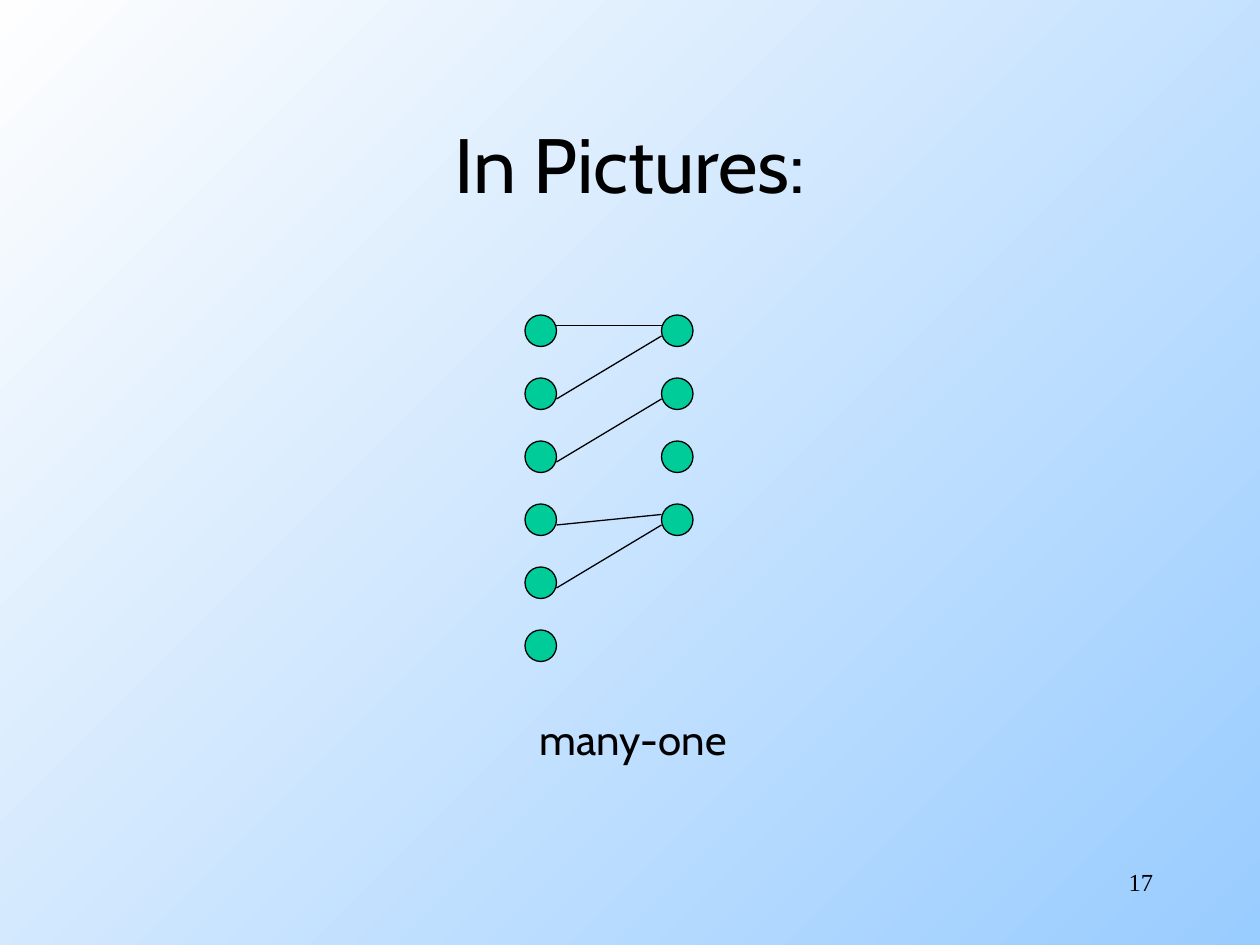
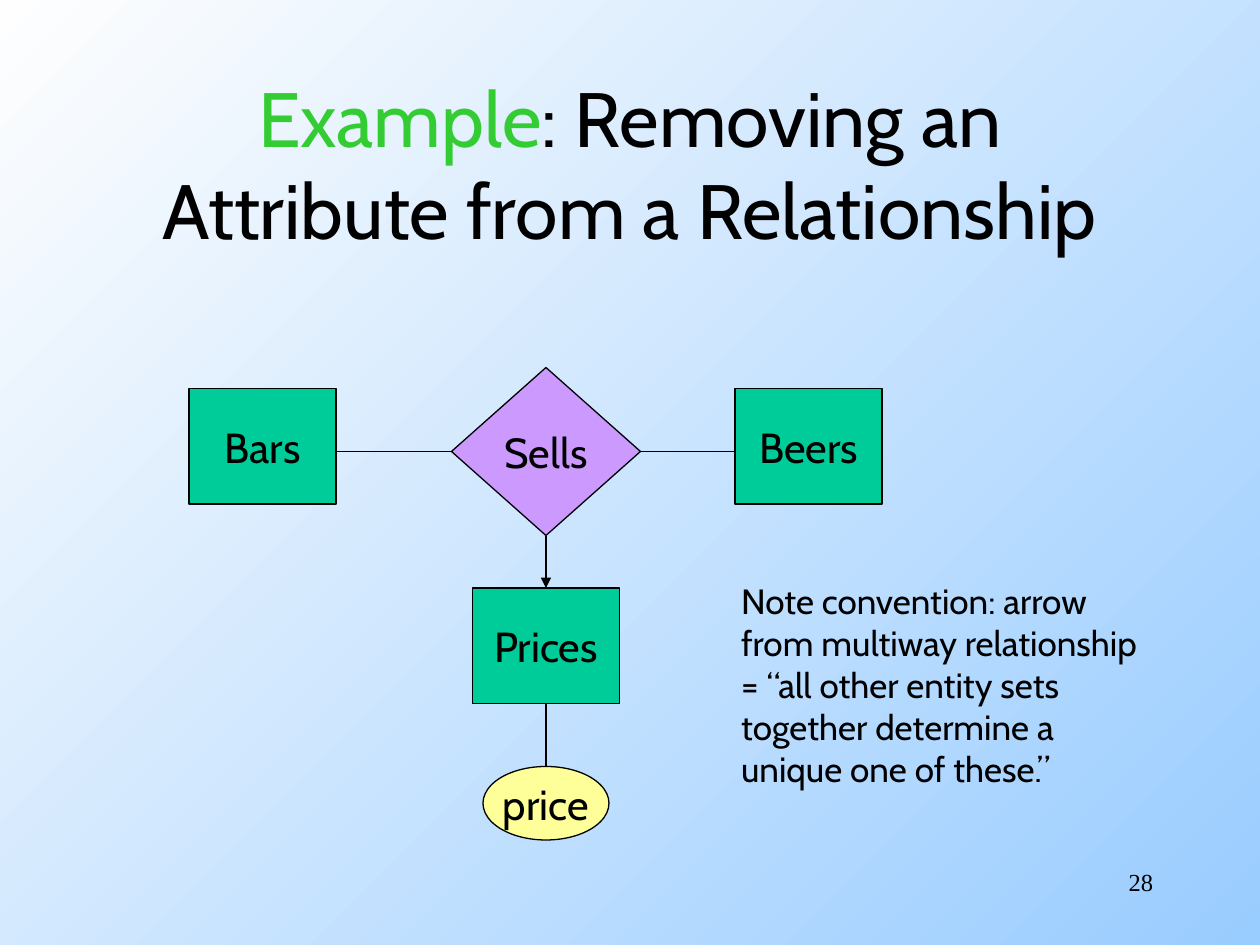
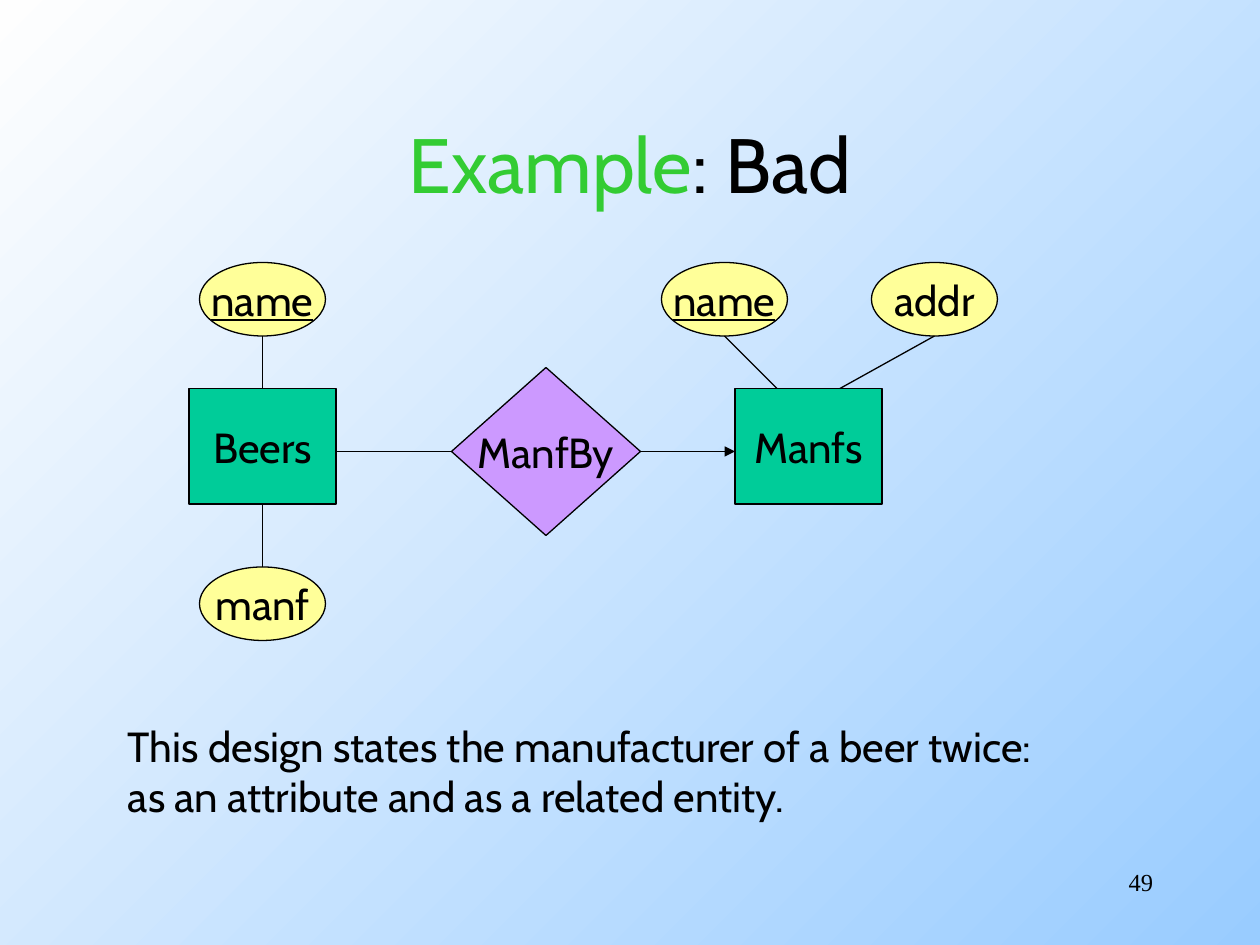
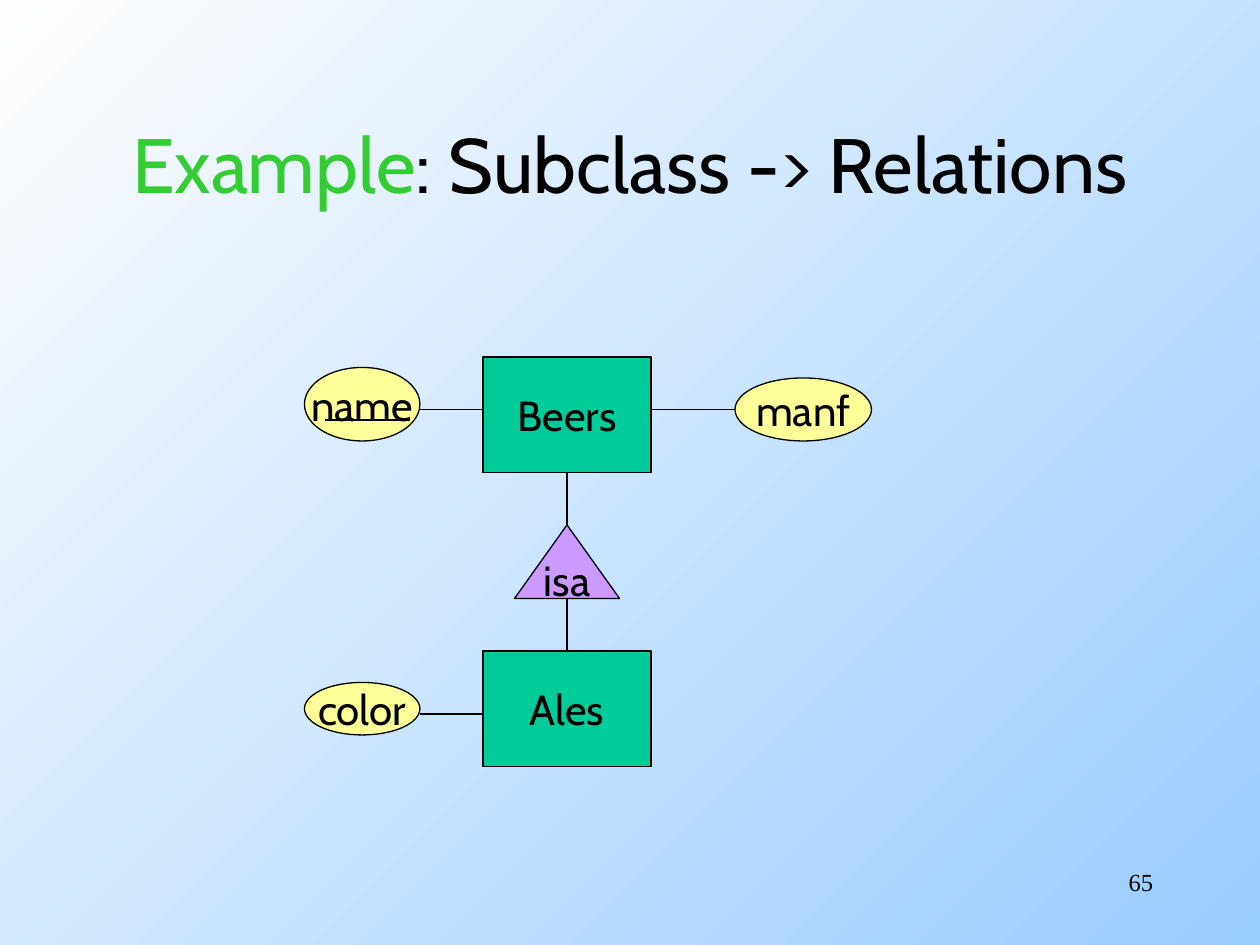
from dataclasses import dataclass
from typing import Any, NamedTuple

from lxml.etree import SubElement
from pptx import Presentation
from pptx.dml.color import RGBColor
from pptx.enum.shapes import MSO_CONNECTOR, MSO_SHAPE
from pptx.enum.text import MSO_ANCHOR, PP_ALIGN
from pptx.oxml.ns import qn
from pptx.util import Inches, Pt

COLUMNS, ROWS = 120, 90
WIDTH, HEIGHT = Inches(10), Inches(7.5)


@dataclass(frozen=True)
class Theme:
    """Colours, fonts and type sizes shared by all slides."""

    ink: RGBColor = RGBColor(0, 0, 0)
    accent: RGBColor = RGBColor.from_string("33CC33")
    entity: RGBColor = RGBColor.from_string("00CC99")
    relationship: RGBColor = RGBColor.from_string("CC99FF")
    attribute: RGBColor = RGBColor.from_string("FFFF99")
    gradient: tuple = (RGBColor.from_string("99CCFF"), RGBColor.from_string("FEFEFE"))
    gradient_angle: int = 135
    font: str = "Cabin"
    number_font: str = "Times New Roman"
    title_size: Pt = Pt(44)
    label_size: Pt = Pt(24)
    note_size: Pt = Pt(20)
    number_size: Pt = Pt(14)
    line_width: Pt = Pt(0.75)


THEME = Theme()


class Box(NamedTuple):
    """A rectangle in grid columns and rows."""

    column: float
    row: float
    columns: float
    rows: float


class Kind(NamedTuple):
    """The outline and colour of one kind of diagram node."""

    outline: MSO_SHAPE
    color: RGBColor


ENTITY = Kind(MSO_SHAPE.RECTANGLE, THEME.entity)
RELATIONSHIP = Kind(MSO_SHAPE.DIAMOND, THEME.relationship)
SUBCLASS = Kind(MSO_SHAPE.ISOSCELES_TRIANGLE, THEME.relationship)
ATTRIBUTE = Kind(MSO_SHAPE.OVAL, THEME.attribute)
MEMBER = Kind(MSO_SHAPE.OVAL, THEME.entity)


@dataclass(frozen=True)
class Node:
    """A diagram node with an optional label."""

    kind: Kind
    box: Box
    label: str = ""
    key: bool = False


class Link(NamedTuple):
    """A straight line between two grid points."""

    start: tuple[float, float]
    end: tuple[float, float]
    arrow: bool = False


@dataclass(frozen=True)
class Note:
    """A block of plain text."""

    box: Box
    lines: tuple[str, ...]
    size: Pt = THEME.label_size


@dataclass(frozen=True)
class Page:
    """The content of one slide."""

    number: int
    title: str
    nodes: tuple[Node, ...]
    links: tuple[Link, ...]
    notes: tuple[Note, ...] = ()
    lead: str = ""
    title_box: Box = Box(9, 8, 102, 15)


NUMBER_BOX = Box(86, 82, 25, 6)
LEFT_BOX, RIGHT_BOX = Box(18, 37, 14, 11), Box(70, 37, 14, 11)
DIAMOND_BOX = Box(43, 35, 18, 16)
LEFT_LINK = Link((43, 43), (32, 43))


def attribute_box(column: float, row: float) -> Box:
    """Return the usual box of an attribute."""
    return Box(column, row, 12, 7)


def member_column(column: float, count: int) -> tuple[Node, ...]:
    """Return a column of evenly spaced set members."""
    return tuple(Node(MEMBER, Box(column, 30 + 6 * index, 3, 3)) for index in range(count))


PAGES = (
    Page(
        17,
        "In Pictures:",
        member_column(50, 6) + member_column(63, 4),
        tuple(
            Link((53, start), (63, end))
            for start, end in ((31, 31), (38, 32), (44, 38), (56, 50), (50, 49))
        ),
        (Note(Box(50.2, 67.4, 21, 6), ("many-one",)),),
    ),
    Page(
        28,
        ": Removing an Attribute from a Relationship",
        (
            Node(ENTITY, LEFT_BOX, "Bars"),
            Node(ENTITY, RIGHT_BOX, "Beers"),
            Node(RELATIONSHIP, DIAMOND_BOX, "Sells"),
            Node(ATTRIBUTE, attribute_box(46, 73), "price"),
            Node(ENTITY, Box(45, 56, 14, 11), "Prices"),
        ),
        (
            LEFT_LINK,
            Link((61, 43), (70, 43)),
            Link((52, 67), (52, 73)),
            Link((52, 51), (52, 56), arrow=True),
        ),
        (
            Note(
                Box(69.4, 54.6, 45, 21.2),
                (
                    "Note convention: arrow",
                    "from multiway relationship",
                    "= “all other entity sets",
                    "together determine a",
                    "unique one of these.”",
                ),
                THEME.note_size,
            ),
        ),
        lead="Example",
    ),
    Page(
        49,
        ": Bad",
        (
            Node(ENTITY, LEFT_BOX, "Beers"),
            Node(ENTITY, RIGHT_BOX, "Manfs"),
            Node(RELATIONSHIP, DIAMOND_BOX, "ManfBy"),
            Node(ATTRIBUTE, attribute_box(19, 25), "name", key=True),
            Node(ATTRIBUTE, attribute_box(63, 25), "name", key=True),
            Node(ATTRIBUTE, attribute_box(19, 54), "manf"),
            Node(ATTRIBUTE, attribute_box(83, 25), "addr"),
        ),
        (
            LEFT_LINK,
            Link((61, 43), (70, 43), arrow=True),
            Link((25, 32), (25, 37)),
            Link((69, 32), (74, 37)),
            Link((89, 32), (80, 37)),
            Link((25, 54), (25, 48)),
        ),
        (
            Note(
                Box(11, 68, 90.2, 10.8),
                (
                    "This design states the manufacturer of a beer twice: "
                    "as an attribute and as a related entity.",
                ),
            ),
        ),
        lead="Example",
    ),
    Page(
        65,
        ": Subclass -> Relations",
        (
            Node(ENTITY, Box(46, 34, 16, 11), "Beers"),
            Node(ENTITY, Box(46, 62, 16, 11), "Ales"),
            Node(SUBCLASS, Box(49, 50, 10, 7), "isa"),
            Node(ATTRIBUTE, Box(29, 35, 11, 7), "name"),
            Node(ATTRIBUTE, Box(70, 36, 13, 6), "manf"),
            Node(ATTRIBUTE, Box(29, 65, 11, 5), "color"),
        ),
        (
            Link((31, 40), (39, 40)),
            Link((40, 39), (46, 39)),
            Link((70, 39), (62, 39)),
            Link((54, 50), (54, 45)),
            Link((54, 57), (54, 62)),
            Link((40, 68), (46, 68)),
        ),
        lead="Example",
        title_box=Box(0, 8, 120, 15),
    ),
)


def apply_format(target: Any, values: dict[str, Any]) -> None:
    """Set every format value on the target."""
    for name, value in values.items():
        setattr(target, name, value)


def place(column: float, row: float) -> tuple[int, int]:
    """Turn grid columns and rows into slide lengths."""
    return round(column / COLUMNS * WIDTH), round(row / ROWS * HEIGHT)


def place_box(box: Box) -> tuple[int, ...]:
    """Turn a grid box into left, top, width and height."""
    return place(box.column, box.row) + place(box.columns, box.rows)


def add_run(
    paragraph: Any, text: str, size: Pt, color: RGBColor = THEME.ink,
    name: str = THEME.font, underline: bool | None = None,
) -> None:
    """Add formatted text to a paragraph."""
    run = paragraph.add_run()
    run.text = text
    apply_format(run.font, {"name": name, "size": size, "underline": underline})
    run.font.color.rgb = color


def add_text_frame(slide: Any, box: Box, anchor: MSO_ANCHOR = MSO_ANCHOR.TOP) -> Any:
    """Add a wrapping text box and return its text frame."""
    frame = slide.shapes.add_textbox(*place_box(box)).text_frame
    apply_format(frame, {"word_wrap": True, "vertical_anchor": anchor})
    return frame


def draw_title(slide: Any, page: Page) -> None:
    """Draw the centred title with its coloured lead word."""
    paragraph = add_text_frame(slide, page.title_box, MSO_ANCHOR.MIDDLE).paragraphs[0]
    paragraph.alignment = PP_ALIGN.CENTER
    if page.lead:
        add_run(paragraph, page.lead, THEME.title_size, THEME.accent)
    add_run(paragraph, page.title, THEME.title_size)


def draw_number(slide: Any, number: int) -> None:
    """Draw the slide number."""
    paragraph = add_text_frame(slide, NUMBER_BOX).paragraphs[0]
    paragraph.alignment = PP_ALIGN.RIGHT
    add_run(paragraph, str(number), THEME.number_size, name=THEME.number_font)


def draw_note(slide: Any, note: Note) -> None:
    """Draw a note with one paragraph for each line."""
    frame = add_text_frame(slide, note.box)
    for index, line in enumerate(note.lines):
        paragraph = frame.add_paragraph() if index else frame.paragraphs[0]
        add_run(paragraph, line, note.size)


def format_line(line: Any) -> None:
    """Give a line the shared colour and width."""
    line.color.rgb = THEME.ink
    line.width = THEME.line_width


def draw_node(slide: Any, node: Node) -> None:
    """Draw a diagram node and its label."""
    shape = slide.shapes.add_shape(node.kind.outline, *place_box(node.box))
    shape.shadow.inherit = False
    shape.fill.solid()
    shape.fill.fore_color.rgb = node.kind.color
    format_line(shape.line)
    if node.label:
        frame = shape.text_frame
        apply_format(frame, {"word_wrap": False, "vertical_anchor": MSO_ANCHOR.MIDDLE})
        paragraph = frame.paragraphs[0]
        paragraph.alignment = PP_ALIGN.CENTER
        add_run(paragraph, node.label, THEME.label_size, underline=node.key or None)


def draw_link(slide: Any, link: Link) -> None:
    """Draw a line, with an arrowhead at its end if wanted."""
    connector = slide.shapes.add_connector(
        MSO_CONNECTOR.STRAIGHT, *place(*link.start), *place(*link.end)
    )
    format_line(connector.line)
    if link.arrow:
        SubElement(connector.line._get_or_add_ln(), qn("a:tailEnd"), type="triangle")
    SubElement(connector._element.spPr, qn("a:effectLst"))


def draw_background(master: Any) -> None:
    """Give the slide master the diagonal gradient."""
    fill = master.background.fill
    fill.gradient()
    fill.gradient_angle = THEME.gradient_angle
    for stop, color in zip(fill.gradient_stops, THEME.gradient):
        stop.color.rgb = color


def draw_page(presentation: Any, page: Page) -> None:
    """Add one slide with its title, diagram, notes and number."""
    slide = presentation.slides.add_slide(presentation.slide_layouts[6])
    draw_title(slide, page)
    for node in page.nodes:
        draw_node(slide, node)
    for link in page.links:
        draw_link(slide, link)
    for note in page.notes:
        draw_note(slide, note)
    draw_number(slide, page.number)


def main() -> None:
    """Build and save the presentation."""
    presentation = Presentation()
    apply_format(presentation, {"slide_width": WIDTH, "slide_height": HEIGHT})
    draw_background(presentation.slide_master)
    for page in PAGES:
        draw_page(presentation, page)
    presentation.save("out.pptx")


if __name__ == "__main__":
    main()
